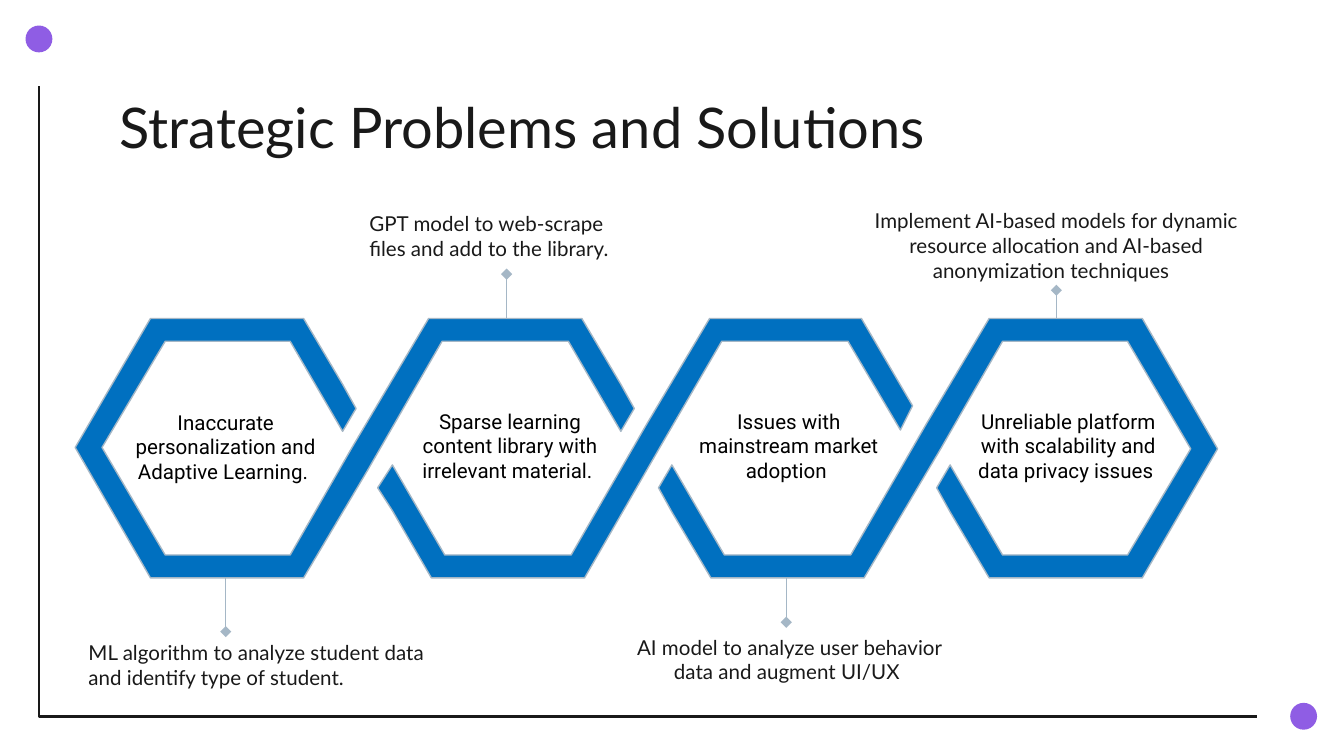
from lxml import etree
from pptx import Presentation
from pptx.dml.color import RGBColor
from pptx.enum.shapes import MSO_CONNECTOR, MSO_SHAPE
from pptx.enum.text import MSO_ANCHOR, MSO_AUTO_SIZE, PP_ALIGN
from pptx.oxml.ns import qn
from pptx.util import Inches, Pt

STRAIGHT = MSO_CONNECTOR.STRAIGHT
OVAL = MSO_SHAPE.OVAL
TOP, BOTTOM = MSO_ANCHOR.TOP, MSO_ANCHOR.BOTTOM
LEFT, CENTER = PP_ALIGN.LEFT, PP_ALIGN.CENTER
NO_FIT, GROW = MSO_AUTO_SIZE.NONE, MSO_AUTO_SIZE.SHAPE_TO_FIT_TEXT
TITLE_ONLY = 5

INK, PURPLE, BLUE, GREY = "191919", "8F5DE4", "0070C0", "A5B7C6"

FRAME = [(9.35, 5.33), (0.29, 5.33), (0.29, 0.64)]
DOTS = [(0.19, 0.19), (9.6, 5.23)]

# The end links of the chain are one outline, turned by half a circle.
LEFT_LINK = [
    (1.12, 2.37), (0.56, 3.33), (1.12, 4.3), (2.26, 4.3), (2.73, 3.51),
    (3.29, 2.54), (4.23, 2.54), (4.62, 3.21), (4.72, 3.04), (4.62, 2.86),
    (4.33, 2.37), (3.19, 2.37), (2.62, 3.33), (2.16, 4.13), (1.23, 4.13),
    (0.76, 3.33), (1.23, 2.54), (2.16, 2.54), (2.55, 3.21), (2.65, 3.04),
    (2.55, 2.86), (2.26, 2.37),
]
RIGHT_LINK = [(9.62 - x, 6.67 - y) for x, y in LEFT_LINK]
MIDDLE_LINK = [
    (5.28, 2.37), (4.81, 3.16), (4.25, 4.13), (3.31, 4.13), (2.92, 3.46),
    (2.81, 3.63), (2.92, 3.8), (3.21, 4.3), (4.35, 4.3), (4.91, 3.33),
    (5.37, 2.54), (6.31, 2.54), (6.7, 3.2), (6.79, 3.02), (6.41, 2.37),
]

# x, start y, end y
POINTERS = [(1.68, 4.17, 4.7), (5.85, 4.17, 4.63),
            (7.86, 2.51, 2.16), (3.77, 2.45, 2.04)]

PROBLEMS = [
    ("Inaccurate personalization and Adaptive Learning. ", (0.86, 3, 1.64, 0.66)),
    ("Sparse learning content library with irrelevant material. ",
     (2.9, 2.99, 1.79, 0.69)),
    ("Issues with mainstream market adoption ", (5.07, 2.99, 1.6, 0.69)),
    ("Unreliable platform with scalability and data privacy issues ",
     (7.15, 2.99, 1.6, 0.69)),
]
SOLUTIONS = [
    ("ML algorithm to analyze student data and identify type of student.",
     (0.56, 4.42, 2.75, 0.81), LEFT),
    ("GPT model to web-scrape files and add to the library.",
     (2.65, 1.48, 2.23, 0.56), LEFT),
    ("AI model to analyze user behavior data and augment UI/UX ",
     (4.5, 4.89, 2.75, 0.3), CENTER),
    ("Implement AI-based models for dynamic resource allocation and "
     "AI-based anonymization techniques  ", (6.2, 1.51, 3.32, 0.69), CENTER),
]


def color(value):
    return RGBColor.from_string(value)


def write_text(shape, text, *, size=11, font="Lato", ink=INK, align=LEFT,
               anchor=TOP, margin=0.1, fit=NO_FIT):
    """Fill a shape with one paragraph; margin is the top and bottom inset."""
    frame = shape.text_frame
    frame.word_wrap = True
    frame.auto_size = fit
    frame.vertical_anchor = anchor
    frame.margin_left = frame.margin_right = Inches(0.1)
    frame.margin_top = frame.margin_bottom = Inches(margin)
    paragraph = frame.paragraphs[0]
    paragraph.alignment = align
    run = paragraph.add_run()
    run.text = text
    run.font.size = Pt(size)
    run.font.name = font
    run.font.color.rgb = color(ink)


def add_title(slide, text):
    title = slide.shapes.title
    title.left, title.top = Inches(0.79), Inches(0.59)
    title.width, title.height = Inches(8.43), Inches(0.63)
    write_text(title, text, size=30)


def add_label(slide, text, box, **text_format):
    label = slide.shapes.add_textbox(*map(Inches, box))
    write_text(label, text, **text_format)


def add_dot(slide, left, top):
    dot = slide.shapes.add_shape(OVAL, Inches(left), Inches(top),
                                 Inches(0.2), Inches(0.2))
    dot.shadow.inherit = False
    dot.fill.solid()
    dot.fill.fore_color.rgb = color(PURPLE)
    dot.line.fill.background()


def add_outline(slide, points, *, line, width, fill=None):
    """Draw a closed shape when a fill is given, otherwise an open line."""
    start, *others = [(Inches(x), Inches(y)) for x, y in points]
    builder = slide.shapes.build_freeform(*start)
    builder.add_line_segments(others, close=fill is not None)
    shape = builder.convert_to_shape()
    shape.shadow.inherit = False
    if fill:
        shape.fill.solid()
        shape.fill.fore_color.rgb = color(fill)
    else:
        shape.fill.background()
    shape.line.color.rgb = color(line)
    shape.line.width = Pt(width)


def add_pointer(slide, x, start, end):
    """Draw a vertical line with a diamond at its end."""
    pointer = slide.shapes.add_connector(STRAIGHT, Inches(x), Inches(start),
                                         Inches(x), Inches(end))
    pointer.line.color.rgb = color(GREY)
    pointer.line.width = Pt(0.75)
    properties = pointer.element.spPr
    etree.SubElement(properties.find(qn("a:ln")), qn("a:tailEnd"), type="diamond")
    etree.SubElement(properties, qn("a:effectLst"))


def main():
    presentation = Presentation()
    presentation.slide_width = Inches(10)
    presentation.slide_height = Inches(10) * 9 // 16
    slide = presentation.slides.add_slide(presentation.slide_layouts[TITLE_ONLY])

    add_outline(slide, FRAME, line=INK, width=1.5)
    for left, top in DOTS:
        add_dot(slide, left, top)
    add_title(slide, "Strategic Problems and Solutions")
    for x, start, end in POINTERS:
        add_pointer(slide, x, start, end)
    for link in (LEFT_LINK, RIGHT_LINK, MIDDLE_LINK):
        add_outline(slide, link, line=GREY, width=0.75, fill=BLUE)
    for text, box in PROBLEMS:
        add_label(slide, text, box, font="Roboto", ink="000000",
                  align=CENTER, margin=0.05, fit=GROW)
    for text, box, align in SOLUTIONS:
        add_label(slide, text, box, align=align, anchor=BOTTOM)

    presentation.save("out.pptx")


if __name__ == "__main__":
    main()
